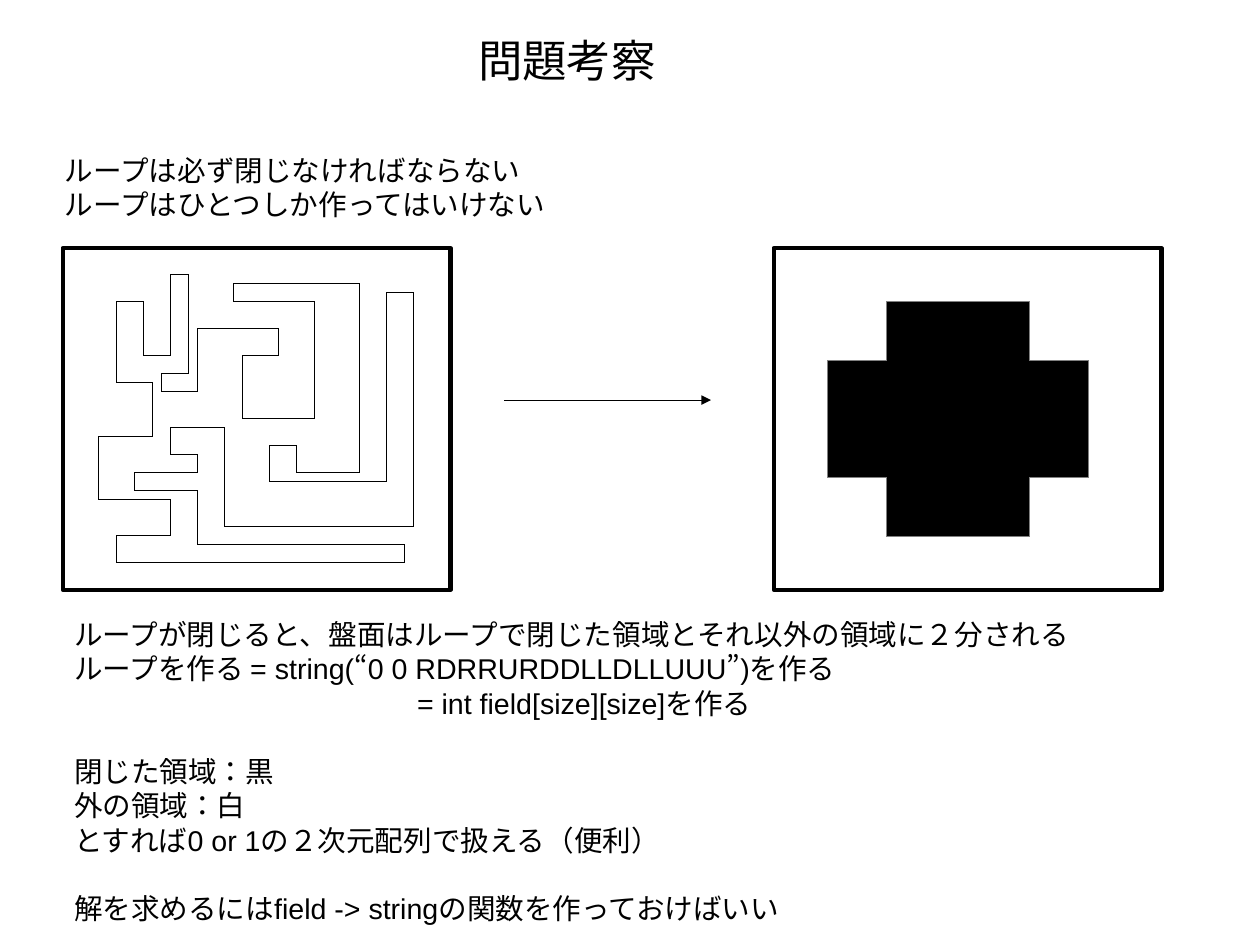
from lxml import etree
from pptx import Presentation
from pptx.dml.color import RGBColor
from pptx.enum.lang import MSO_LANGUAGE_ID
from pptx.enum.shapes import MSO_CONNECTOR, MSO_SHAPE
from pptx.enum.text import MSO_AUTO_SIZE, PP_ALIGN
from pptx.oxml.ns import qn
from pptx.util import Inches, Pt

RECT, CROSS = MSO_SHAPE.RECTANGLE, MSO_SHAPE.CROSS
STRAIGHT = MSO_CONNECTOR.STRAIGHT
GROW = MSO_AUTO_SIZE.SHAPE_TO_FIT_TEXT
LEFT, CENTER = PP_ALIGN.LEFT, PP_ALIGN.CENTER
JAPANESE = MSO_LANGUAGE_ID.JAPANESE


class Theme:
    """Colours, font, type sizes and line widths of the slide."""
    ink = RGBColor(0, 0, 0)
    paper = RGBColor(255, 255, 255)
    edge = RGBColor(128, 128, 128)
    font = "Arial"
    title, body = Pt(28), Pt(18)
    hairline, border = Pt(0), Pt(2.83)
    gap = Pt(21.5)


RULES = ["ループは必ず閉じなければならない", "ループはひとつしか作ってはいけない"]
NOTES = [
    "ループが閉じると、盤面はループで閉じた領域とそれ以外の領域に２分される",
    "ループを作る = string(“0 0 RDRRURDDLLDLLUUU”)を作る",
    "= int field[size][size]を作る",
    "閉じた領域：黒",
    "外の領域：白",
    "とすれば0 or 1の２次元配列で扱える（便利）",
    "解を求めるにはfield -> stringの関数を作っておけばいい",
]
INDENTED, SPACED = {2}, {3, 6}

LOOP_COLS, LOOP_ROWS = 35, 32
LOOP_X = [2, 5, 8, 10, 7, 11, 20, 16, 24, 15, 29, 22, 19, 32, 35, 14, 8,
          11, 4, 11, 34, 2, 8, 0, 6, 2]
LOOP_Y = [3, 9, 0, 11, 13, 6, 9, 16, 3, 1, 22, 19, 23, 2, 28, 17, 20,
          22, 24, 30, 32, 29, 25, 18, 12]


def add_text(slide, box, lines, size, align=LEFT, indented=(), spaced=()):
    """Place a text box with one paragraph per line."""
    tf = slide.shapes.add_textbox(*map(Inches, box)).text_frame
    frame_format = {"word_wrap": True, "auto_size": GROW}
    run_format = {"name": Theme.font, "size": size, "language_id": JAPANESE}
    for name, value in frame_format.items():
        setattr(tf, name, value)
    for i, line in enumerate(lines):
        p = tf.paragraphs[0] if i == 0 else tf.add_paragraph()
        p.alignment = align
        if i in indented:
            p._p.get_or_add_pPr().set("marL", str(Inches(3)))
        if i in spaced:
            p.space_before = Theme.gap
        r = p.add_run()
        r.text = line
        for name, value in run_format.items():
            setattr(r.font, name, value)
        r.font.color.rgb = Theme.ink


def set_line(s, color, width):
    """Set the line of a shape and drop its theme style."""
    s._element.remove(s._element.find(qn("p:style")))
    s.line.color.rgb = color
    s.line.width = width


def style(s, fill, line, width):
    """Set the fill and line of a shape and drop its shadow."""
    s.shadow.inherit = False
    if fill is None:
        s.fill.background()
    else:
        s.fill.solid()
        s.fill.fore_color.rgb = fill
    set_line(s, line, width)


def add_board(slide, box):
    """Draw the thick frame of a board."""
    s = slide.shapes.add_shape(RECT, *map(Inches, box))
    style(s, Theme.paper, Theme.ink, Theme.border)


def add_loop_board(slide, box):
    """Draw a board holding the outline of a closed loop."""
    add_board(slide, box)
    left, top = box[0] + 0.31, box[1] + 0.23
    cell_w, cell_h = 2.76 / LOOP_COLS, 2.52 / LOOP_ROWS
    corners = []
    for x, next_x, y in zip(LOOP_X, LOOP_X[1:], LOOP_Y):
        corners += [(x, y), (next_x, y)]
    points = [(Inches(left + x * cell_w), Inches(top + y * cell_h))
              for x, y in corners]
    outline = slide.shapes.build_freeform(*points[0])
    outline.add_line_segments(points[1:], close=True)
    style(outline.convert_to_shape(), None, Theme.ink, Theme.hairline)


def add_region_board(slide, box):
    """Draw a board holding a filled region."""
    add_board(slide, box)
    region = (box[0] + 0.47, box[1] + 0.47, 2.28, 2.05)
    s = slide.shapes.add_shape(CROSS, *map(Inches, region))
    s.adjustments[0] = 0.25
    style(s, Theme.ink, Theme.edge, Theme.hairline)


def add_arrow(slide, x1, x2, y):
    """Draw a level arrow from x1 to x2."""
    s = slide.shapes.add_connector(STRAIGHT, *map(Inches, (x1, y, x2, y)))
    set_line(s, Theme.ink, Theme.hairline)
    ln = s._element.spPr.find(qn("a:ln"))
    etree.SubElement(ln, qn("a:tailEnd"), type="triangle")
    etree.SubElement(s._element.spPr, qn("a:effectLst"))


def main():
    """Build the slide and save it."""
    prs = Presentation()
    prs.slide_width = Inches(28 / 2.54)
    prs.slide_height = Inches(21 / 2.54)
    slide = prs.slides.add_slide(prs.slide_layouts[6])
    add_text(slide, (0.47, 1.29, 10.08, 0.82), RULES, Theme.body)
    add_loop_board(slide, (0.55, 2.17, 3.39, 2.99))
    add_region_board(slide, (6.77, 2.17, 3.39, 2.99))
    add_arrow(slide, 4.41, 6.22, 3.5)
    add_text(slide, (0.55, 5.35, 9.61, 3.47), NOTES, Theme.body,
             indented=INDENTED, spaced=SPACED)
    add_text(slide, (0.47, 0.24, 8.98, 0.66), ["問題考察"], Theme.title, CENTER)
    prs.save("out.pptx")


if __name__ == "__main__":
    main()
